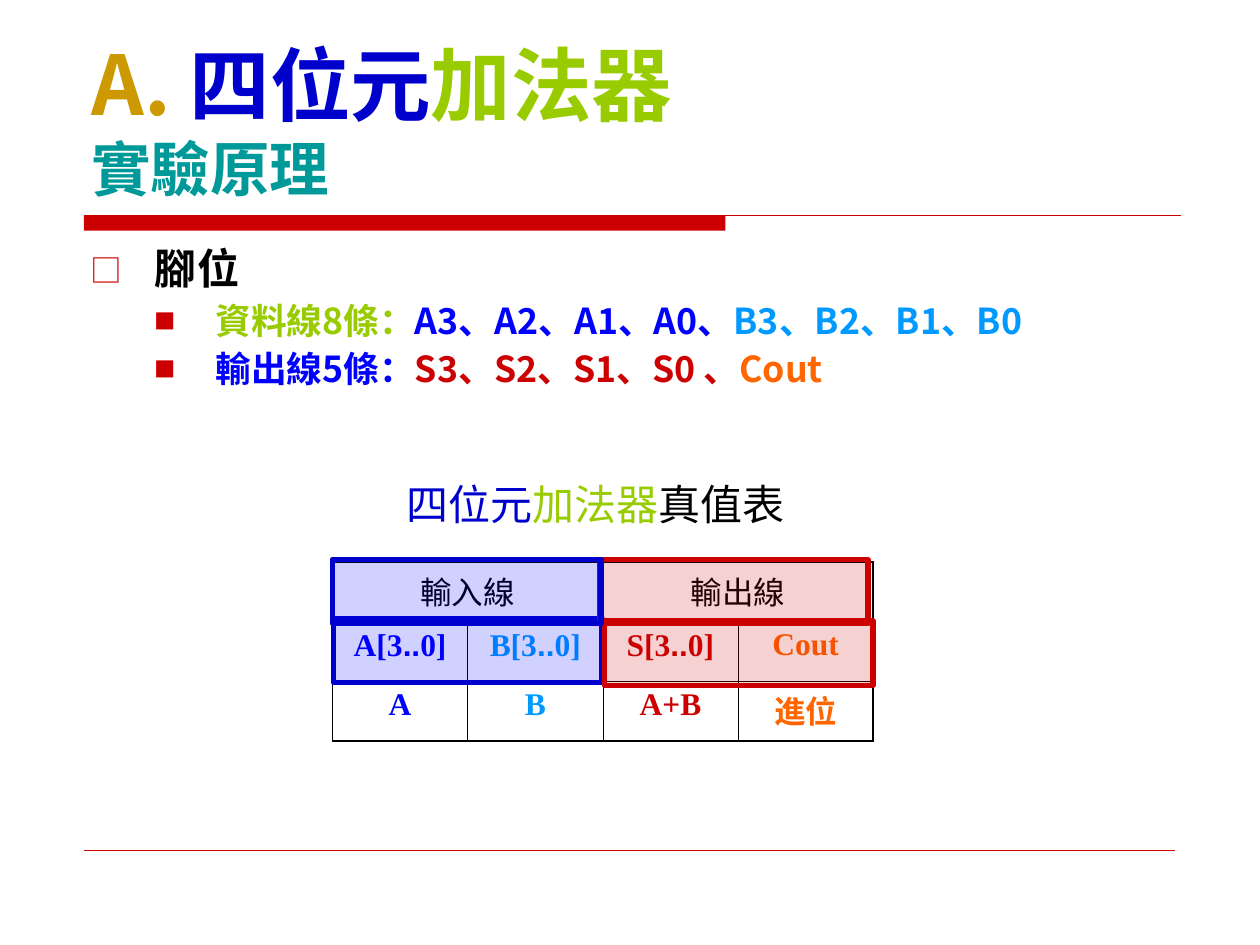
from dataclasses import dataclass

from lxml.etree import SubElement
from pptx import Presentation
from pptx.dml.color import RGBColor
from pptx.enum.shapes import MSO_CONNECTOR, MSO_SHAPE
from pptx.enum.text import MSO_ANCHOR, MSO_AUTO_SIZE, PP_ALIGN
from pptx.oxml import parse_xml
from pptx.oxml.ns import nsdecls, qn
from pptx.util import Pt


@dataclass(frozen=True)
class Theme:
    # Colours
    black: str = "000000"
    red: str = "CC0000"
    navy: str = "0000CC"
    blue: str = "0000FF"
    sky: str = "0099FF"
    green: str = "99CC00"
    teal: str = "009999"
    gold: str = "CC9900"
    orange: str = "FF6600"
    # Fonts
    cjk: str = "Noto Sans CJK JP"
    serif: str = "Times New Roman"
    sans: str = "Arial"
    subtitle_font: str = "DejaVu Sans"
    # Type sizes
    letter: float = 47
    title: float = 46
    subtitle: float = 34
    heading: float = 24.1
    item: float = 20.4
    caption: float = 24
    cell: float = 18


T = Theme()


def set_attrs(obj, **values):
    for name, value in values.items():
        setattr(obj, name, value)


def add_run(p, text, color, size, font=T.cjk, bold=True):
    r = p.add_run()
    r.text = text
    set_attrs(r.font, size=Pt(size), bold=bold, name=font)
    r.font.color.rgb = RGBColor.from_string(color)
    SubElement(r.font._element, qn("a:ea"), typeface=T.cjk)


def place(s, box):
    set_attrs(s, **dict(zip(("left", "top", "width", "height"), map(Pt, box))))


def add_line(slide, x, y, width, weight):
    line = slide.shapes.add_connector(
        MSO_CONNECTOR.STRAIGHT, Pt(x), Pt(y), Pt(x + width), Pt(y))
    line.line.color.rgb = RGBColor.from_string(T.red)
    line.line.width = Pt(weight)
    SubElement(line._element.spPr, qn("a:effectLst"))


def add_box(slide, box, fill):
    s = slide.shapes.add_shape(MSO_SHAPE.RECTANGLE, *map(Pt, box))
    s.shadow.inherit = False
    s.fill.solid()
    s.fill.fore_color.rgb = RGBColor.from_string(fill)
    return s


# Red rules under the title and above the footer
def add_rules(slide, box):
    x, y, width, height = box
    add_box(slide, (x, y, 366.5, 8.8), T.red).line.fill.background()
    add_line(slide, x, y, width, 0.75)
    add_line(slide, x, y + height, width - 3, 0.25)


def add_title(slide, box):
    s = slide.shapes.title
    place(s, box)
    tf = s.text_frame
    set_attrs(tf, vertical_anchor=MSO_ANCHOR.BOTTOM, auto_size=MSO_AUTO_SIZE.NONE)
    p = tf.paragraphs[0]
    p.alignment = PP_ALIGN.LEFT
    add_run(p, "A. ", T.gold, T.letter)
    add_run(p, "四位元", T.navy, T.title)
    add_run(p, "加法器", T.green, T.title)
    p.add_line_break()
    add_run(p, "實驗原理", T.teal, T.subtitle, T.subtitle_font)


def add_bullet(p, char, indent, hanging, percent):
    pPr = p._p.get_or_add_pPr()
    pPr.set("marL", str(Pt(indent)))
    pPr.set("indent", str(-Pt(hanging)))
    color = SubElement(pPr, qn("a:buClr"))
    SubElement(color, qn("a:srgbClr"), val=T.red)
    SubElement(pPr, qn("a:buSzPct"), val=str(percent * 1000))
    SubElement(pPr, qn("a:buFont"), typeface=T.cjk)
    SubElement(pPr, qn("a:buChar"), char=char)


# Pin list
def add_pins(slide, box):
    s = slide.placeholders[1]
    place(s, box)
    tf = s.text_frame
    tf.auto_size = MSO_AUTO_SIZE.NONE
    heading = ("□", 36.7, 36.7, 75)
    item = ("■", 71.3, 34.6, 60)
    lines = [
        (0, heading, T.heading, 0, [("腳位", T.black)]),
        (1, item, T.item, 5.5, [("資料線8條：", T.green),
                                ("A3、A2、A1、A0、", T.blue),
                                ("B3、B2、B1、B0", T.sky)]),
        (1, item, T.item, 5.5, [("輸出線5條：", T.blue),
                                ("S3、S2、S1、S0 、", T.red),
                                ("Cout", T.orange)]),
    ]
    for i, (level, bullet, size, before, runs) in enumerate(lines):
        p = tf.add_paragraph() if i else tf.paragraphs[0]
        add_bullet(p, *bullet)
        set_attrs(p, level=level, line_spacing=0.9, space_before=Pt(before))
        for text, color in runs:
            add_run(p, text, color, size)


def add_caption(slide, box):
    s = slide.shapes.add_textbox(*map(Pt, box))
    tf = s.text_frame
    set_attrs(tf, word_wrap=True, vertical_anchor=MSO_ANCHOR.MIDDLE,
              margin_left=Pt(7.2 + T.caption))
    p = tf.paragraphs[0]
    for text, color in (("四位元", T.navy), ("加法器", T.green), ("真值表", T.black)):
        add_run(p, text, color, T.caption, bold=False)


def set_borders(cell, row, col, rows, cols):
    outer = {"L": col == 0, "R": col + cell.span_width == cols,
             "T": row == 0, "B": row == rows - 1}
    tcPr = cell._tc.get_or_add_tcPr()
    for side, is_outer in outer.items():
        weight = Pt(1.08 if is_outer else 0.45)
        tcPr.append(parse_xml(
            f'<a:ln{side} {nsdecls("a")} w="{weight}"><a:solidFill>'
            f'<a:srgbClr val="{T.black}"/></a:solidFill></a:ln{side}>'))


def add_frame(slide, box, fill, edge):
    s = add_box(slide, box, fill)
    SubElement(s.fill._xPr.find(".//" + qn("a:srgbClr")), qn("a:alpha"), val="18000")
    s.line.color.rgb = RGBColor.from_string(edge)
    s.line.width = Pt(3)


# Truth table with coloured frames over the input and output cells
def add_truth_table(slide, box):
    x, y, width, height = box
    colors = (T.blue, T.sky, T.red, T.orange)
    data = [
        ("輸入線", "", "輸出線", ""),
        ("A[3..0]", "B[3..0]", "S[3..0]", "Cout"),
        ("A", "B", "A+B", "進位"),
    ]
    rows, cols = len(data), len(colors)
    table = slide.shapes.add_table(rows, cols, *map(Pt, box)).table
    set_attrs(table, first_row=False, horz_banding=False)
    for col in (0, 2):
        table.cell(0, col).merge(table.cell(0, col + 1))
    for i, texts in enumerate(data):
        table.rows[i].height = Pt(height / rows)
        for j, text in enumerate(texts):
            cell = table.cell(i, j)
            set_borders(cell, i, j, rows, cols)
            cell.fill.background()
            p = cell.text_frame.paragraphs[0]
            p.alignment = PP_ALIGN.CENTER
            color = colors[j] if i else T.black
            start, dots, end = text.partition("..")
            for part, font in ((start, T.serif), (dots, T.sans), (end, T.serif)):
                if part:
                    add_run(p, part, color, T.cell, font, bold=i > 0)

    frames = [
        (0.7, 32.4, T.blue, T.navy), (155.5, 33.8, T.red, T.red),
        (152.6, -1.4, T.red, T.red), (0, -1.4, T.blue, T.navy),
    ]
    for dx, dy, fill, edge in frames:
        add_frame(slide, (x + dx, y + dy, 153.4, 36.7), fill, edge)


def main():
    prs = Presentation()
    set_attrs(prs, slide_width=Pt(720), slide_height=Pt(540))
    slide = prs.slides.add_slide(prs.slide_layouts[1])
    add_rules(slide, (48, 123.1, 626.6, 362.9))
    add_title(slide, (45, 24, 630, 96))
    add_pins(slide, (44.6, 138.2, 644.4, 121))
    add_caption(slide, (200.9, 270, 283.7, 36))
    add_truth_table(slide, (190, 321.1, 309, 102.2))
    prs.save("out.pptx")


if __name__ == "__main__":
    main()
